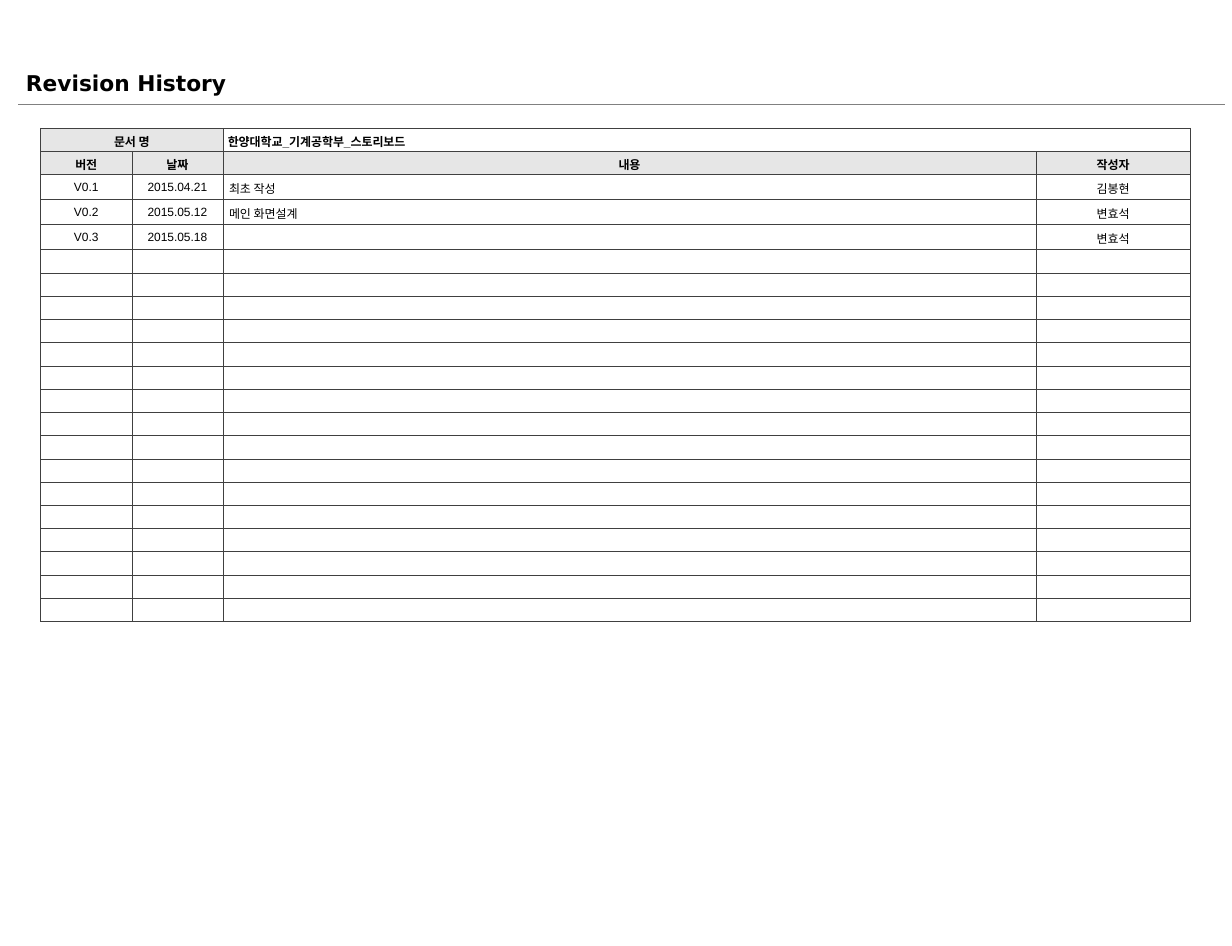
"""Build the revision history slide of a storyboard document."""
from dataclasses import dataclass

from lxml import etree
from pptx import Presentation
from pptx.dml.color import RGBColor
from pptx.enum.shapes import MSO_CONNECTOR
from pptx.enum.text import MSO_ANCHOR, MSO_AUTO_SIZE, PP_ALIGN
from pptx.oxml.ns import qn
from pptx.util import Inches, Pt

STRAIGHT = MSO_CONNECTOR.STRAIGHT
MIDDLE = MSO_ANCHOR.MIDDLE
FIT = MSO_AUTO_SIZE.SHAPE_TO_FIT_TEXT
LEFT, CENTER = PP_ALIGN.LEFT, PP_ALIGN.CENTER

BLACK, WHITE, SHADE = "000000", "FFFFFF", "E6E6E6"
BORDER, RULE = "404040", "808080"
HAIRLINE = Pt(0.25)

TABLE_X, TABLE_Y = 0.33, 1.04
TABLE_H, ENTRIES_H = 4.01, 0.61
COL_WIDTHS = (0.74, 0.74, 6.6, 1.25)
ROW_COUNT = 21
CONTENT_COL = 2
DOCUMENT_NAME = "한양대학교_기계공학부_스토리보드"
HEADINGS = ("버전", "날짜", "내용", "작성자")


@dataclass
class Revision:
    version: str
    date: str
    content: str
    author: str


@dataclass
class CellStyle:
    fill: str = WHITE
    bold: bool = False
    align: PP_ALIGN = CENTER
    inset_x: float = 0.04
    top: float = 0.03
    bottom: float = 0.01


REVISIONS = (
    Revision("V0.1", "2015.04.21", "최초 작성", "김봉현"),
    Revision("V0.2", "2015.05.12", "메인 화면설계", "변효석"),
    Revision("V0.3", "2015.05.18", "", "변효석"),
)
HEADING = CellStyle(SHADE, True)
NAME = CellStyle(bold=True, align=LEFT)
NUMBER = CellStyle(inset_x=0.05, top=0.03, bottom=0.03)
CONTENT = CellStyle(align=LEFT, inset_x=0.05, top=0.04, bottom=0.02)
AUTHOR = CellStyle(inset_x=0.05, top=0.04, bottom=0.02)
EMPTY = CellStyle()


def rgb(value: str) -> RGBColor:
    return RGBColor.from_string(value)


def set_attributes(target, values: dict) -> None:
    for name, value in values.items():
        setattr(target, name, value)


def add_run(p, text: str, font: str, size: float, bold: bool) -> None:
    r = p.add_run()
    r.text = text
    set_attributes(r.font, {"name": font, "size": Pt(size), "bold": bold})
    r.font.color.rgb = rgb(BLACK)


def set_borders(cell) -> None:
    tc_pr = cell._tc.get_or_add_tcPr()
    for index, side in enumerate(("lnL", "lnR", "lnT", "lnB")):
        ln = etree.Element(qn(f"a:{side}"), w=str(HAIRLINE))
        fill = etree.SubElement(ln, qn("a:solidFill"))
        etree.SubElement(fill, qn("a:srgbClr"), val=BORDER)
        tc_pr.insert(index, ln)


def format_cell(cell, text: str, style: CellStyle) -> None:
    set_attributes(cell, {
        "margin_left": Inches(style.inset_x), "margin_right": Inches(style.inset_x),
        "margin_top": Inches(style.top), "margin_bottom": Inches(style.bottom),
        "vertical_anchor": MIDDLE,
    })
    cell.fill.solid()
    cell.fill.fore_color.rgb = rgb(style.fill)
    set_borders(cell)
    p = cell.text_frame.paragraphs[0]
    p.alignment = style.align
    if text:
        add_run(p, text, "Arial", 7, style.bold)
    else:
        etree.SubElement(p._p, qn("a:endParaRPr"), sz="700")


def row_content(row: int) -> list[tuple[str, CellStyle]]:
    if row == 0:
        return [("문서 명", HEADING), ("", HEADING), (DOCUMENT_NAME, NAME), ("", NAME)]
    if row == 1:
        return [(text, HEADING) for text in HEADINGS]
    if row < 2 + len(REVISIONS):
        rev = REVISIONS[row - 2]
        return [(rev.version, NUMBER), (rev.date, NUMBER),
                (rev.content, CONTENT), (rev.author, AUTHOR)]
    return [("", EMPTY)] * len(COL_WIDTHS)


def add_history(s) -> None:
    table = s.shapes.add_table(
        ROW_COUNT, len(COL_WIDTHS), Inches(TABLE_X), Inches(TABLE_Y),
        Inches(sum(COL_WIDTHS)), Inches(TABLE_H)).table
    set_attributes(table, {"first_row": False, "horz_banding": False})
    for column, width in zip(table.columns, COL_WIDTHS):
        column.width = Inches(width)
    entries = len(REVISIONS)
    entry_h = ENTRIES_H / entries
    plain_h = (TABLE_H - ENTRIES_H) / (ROW_COUNT - entries)
    for row in range(ROW_COUNT):
        is_entry = 2 <= row < 2 + entries
        table.rows[row].height = Inches(entry_h if is_entry else plain_h)
        for col, (text, style) in enumerate(row_content(row)):
            format_cell(table.cell(row, col), text, style)
    for col in (0, CONTENT_COL):
        table.cell(0, col).merge(table.cell(0, col + 1))


def add_title(s, text: str) -> None:
    sp = s.shapes.add_textbox(Inches(0.12), Inches(0.52), Inches(1.82), Inches(0.31))
    tf = sp.text_frame
    set_attributes(tf, {
        "word_wrap": False, "auto_size": FIT,
        "margin_left": Inches(0.09), "margin_right": Inches(0.09),
        "margin_top": Inches(0.05), "margin_bottom": Inches(0.05),
    })
    add_run(tf.paragraphs[0], text, "DejaVu Sans", 12.7, True)


def add_rule(s) -> None:
    y = Inches(0.85)
    line = s.shapes.add_connector(STRAIGHT, Inches(0.15), y, Inches(9.94), y)
    line.line.color.rgb = rgb(RULE)
    line.line.width = HAIRLINE
    etree.SubElement(line._element.spPr, qn("a:effectLst"))


def main() -> None:
    prs = Presentation()
    prs.slide_width, prs.slide_height = Inches(10), Inches(7.68)
    s = prs.slides.add_slide(prs.slide_layouts[6])
    add_history(s)
    add_title(s, "Revision History")
    add_rule(s)
    prs.save("out.pptx")


if __name__ == "__main__":
    main()
